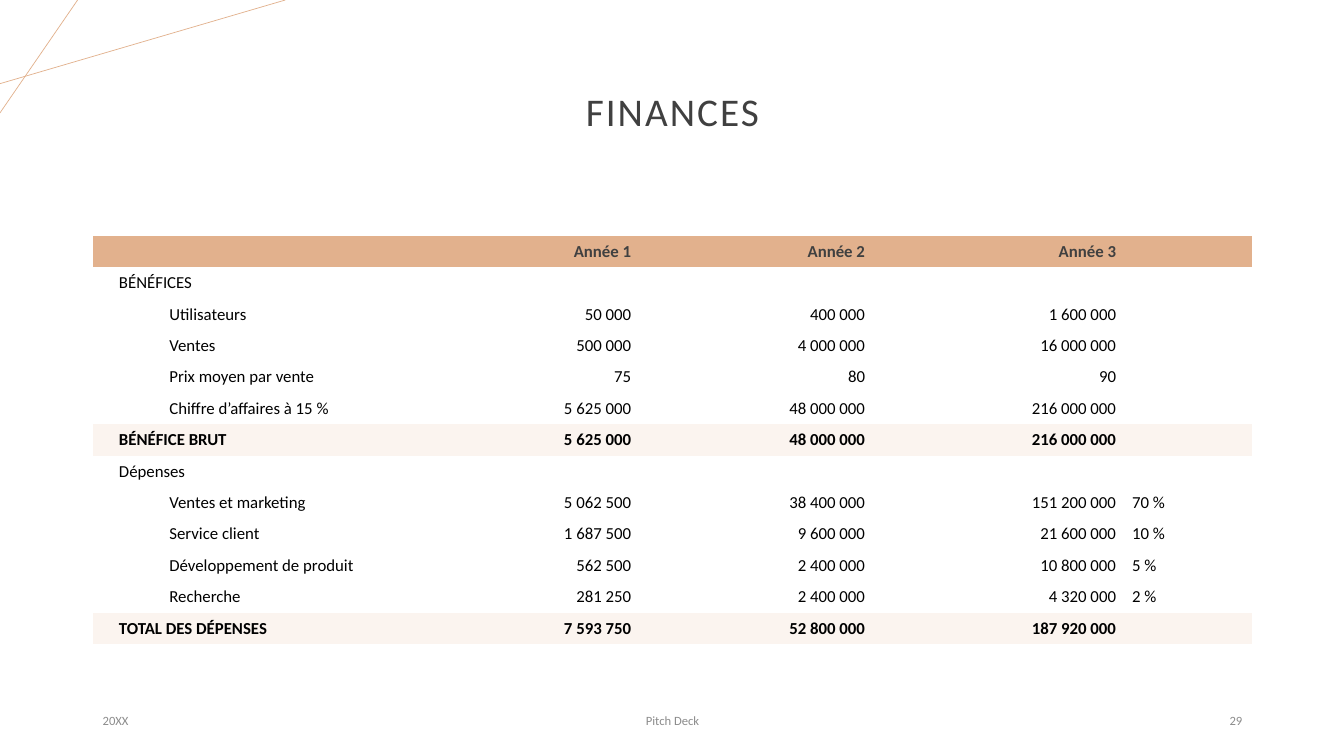
from lxml import etree
from pptx import Presentation
from pptx.dml.color import RGBColor
from pptx.enum.shapes import MSO_CONNECTOR
from pptx.enum.text import MSO_ANCHOR, PP_ALIGN
from pptx.oxml.ns import qn
from pptx.util import Inches, Pt

STRAIGHT = MSO_CONNECTOR.STRAIGHT
MIDDLE = MSO_ANCHOR.MIDDLE
LEFT, CENTER, RIGHT = PP_ALIGN.LEFT, PP_ALIGN.CENTER, PP_ALIGN.RIGHT

COPPER = RGBColor(0xE2, 0xB1, 0x8D)
CREAM = RGBColor(0xFB, 0xF4, 0xEF)
CHARCOAL = RGBColor(0x40, 0x40, 0x40)
GRAY = RGBColor(0x8C, 0x8C, 0x8C)
BLACK = RGBColor(0, 0, 0)

FONT = "Calibri"
PLAIN_TABLE_STYLE = "{2D5ABB26-0587-4C30-8999-92F81FD0307C}"
MARGIN, CONTENT_WIDTH = 0.92, 11.5


def write_text(text_frame, text, size=12, color=BLACK, bold=False, align=LEFT,
               indent=0, tracking=0, line_spacing=None):
    paragraph = text_frame.paragraphs[0]
    paragraph.alignment = align
    paragraph.line_spacing = line_spacing
    if indent:
        paragraph.level = 1
        properties = paragraph._p.get_or_add_pPr()
        properties.set("marL", str(Inches(indent)))
        properties.set("indent", "0")
    if not text:
        # An empty cell keeps the small size so that its row stays low
        etree.SubElement(paragraph._p, qn("a:endParaRPr")).set("sz", str(size * 100))
        return
    run = paragraph.add_run()
    run.text = text
    run.font.name = FONT
    run.font.size = Pt(size)
    run.font.bold = bold
    run.font.color.rgb = color
    if tracking:
        run._r.get_or_add_rPr().set("spc", str(int(tracking * 100)))


def add_text_box(left, top, width, height, text, **text_format):
    box = slide.shapes.add_textbox(Inches(left), Inches(top), Inches(width), Inches(height))
    box.text_frame.word_wrap = True
    box.text_frame.vertical_anchor = MIDDLE
    write_text(box.text_frame, text, **text_format)


presentation = Presentation()
presentation.slide_width = Inches(13.33)
presentation.slide_height = Inches(7.5)
slide = presentation.slides.add_slide(presentation.slide_layouts[6])

# Crossing lines in the top left corner
for line_ends in [(0, 0.83, 2.83, 0), (0.77, 0, 0, 1.12)]:
    line = slide.shapes.add_connector(STRAIGHT, *[Inches(value) for value in line_ends])
    line.line.color.rgb = COPPER
    line.line.width = Pt(0.5)
    etree.SubElement(line._element.spPr, qn("a:effectLst"))

# Title
add_text_box(MARGIN, 0.4, CONTENT_WIDTH, 1.45, "FINANCES", size=28, color=CHARCOAL,
             align=CENTER, tracking=1.5, line_spacing=0.9)

# Footer: date, deck name, page number
footer = [("20XX", 3, LEFT), ("Pitch Deck", 4.5, CENTER), ("29", 3, RIGHT)]
footer_gap = (CONTENT_WIDTH - sum(width for _, width, _ in footer)) / 2
footer_left = MARGIN
for text, width, align in footer:
    add_text_box(footer_left, 6.95, width, 0.4, text, size=9, color=GRAY, align=align)
    footer_left += width + footer_gap

# Financial table: row kind, label, three years, share
HEADER, SECTION, DETAIL, TOTAL = "header", "section", "detail", "total"
finance_rows = [
    (HEADER, "", "Année 1", "Année 2", "Année 3", ""),
    (SECTION, "BÉNÉFICES", "", "", "", ""),
    (DETAIL, "Utilisateurs", "50 000", "400 000", "1 600 000", ""),
    (DETAIL, "Ventes", "500 000", "4 000 000", "16 000 000", ""),
    (DETAIL, "Prix moyen par vente", "75", "80", "90", ""),
    (DETAIL, "Chiffre d’affaires à 15 %", "5 625 000", "48 000 000", "216 000 000", ""),
    (TOTAL, "BÉNÉFICE BRUT", "5 625 000", "48 000 000", "216 000 000", ""),
    (SECTION, "Dépenses", "", "", "", ""),
    (DETAIL, "Ventes et marketing", "5 062 500", "38 400 000", "151 200 000", "70 %"),
    (DETAIL, "Service client", "1 687 500", "9 600 000", "21 600 000", "10 %"),
    (DETAIL, "Développement de produit", "562 500", "2 400 000", "10 800 000", "5 %"),
    (DETAIL, "Recherche", "281 250", "2 400 000", "4 320 000", "2 %"),
    (TOTAL, "TOTAL DES DÉPENSES", "7 593 750", "52 800 000", "187 920 000", ""),
]
column_widths = [3.54, 1.88, 2.32, 2.49, 1.27]
column_aligns = [LEFT, RIGHT, RIGHT, RIGHT, LEFT]
row_fills = {HEADER: COPPER, TOTAL: CREAM}

table = slide.shapes.add_table(
    len(finance_rows), len(column_widths), Inches(MARGIN), Inches(2.34),
    Inches(CONTENT_WIDTH), Inches(4.05)).table
table.first_row = False
table.horz_banding = False
table._tbl.tblPr.find(qn("a:tableStyleId")).text = PLAIN_TABLE_STYLE
for column, width in zip(table.columns, column_widths):
    column.width = Inches(width)

for row, (kind, *texts) in zip(table.rows, finance_rows):
    for column_index, (cell, text) in enumerate(zip(row.cells, texts)):
        is_label = column_index == 0
        cell.vertical_anchor = MIDDLE
        cell.margin_left = Inches(0.26 if is_label else 0.08)
        cell.margin_right = Inches(0.08)
        cell.margin_top = cell.margin_bottom = Inches(0.04)
        if kind in row_fills:
            cell.fill.solid()
            cell.fill.fore_color.rgb = row_fills[kind]
        else:
            cell.fill.background()
        write_text(cell.text_frame, text,
                   color=CHARCOAL if kind == HEADER else BLACK,
                   bold=kind in row_fills,
                   align=column_aligns[column_index],
                   indent=0.5 if is_label and kind == DETAIL else 0)

presentation.save("out.pptx")
